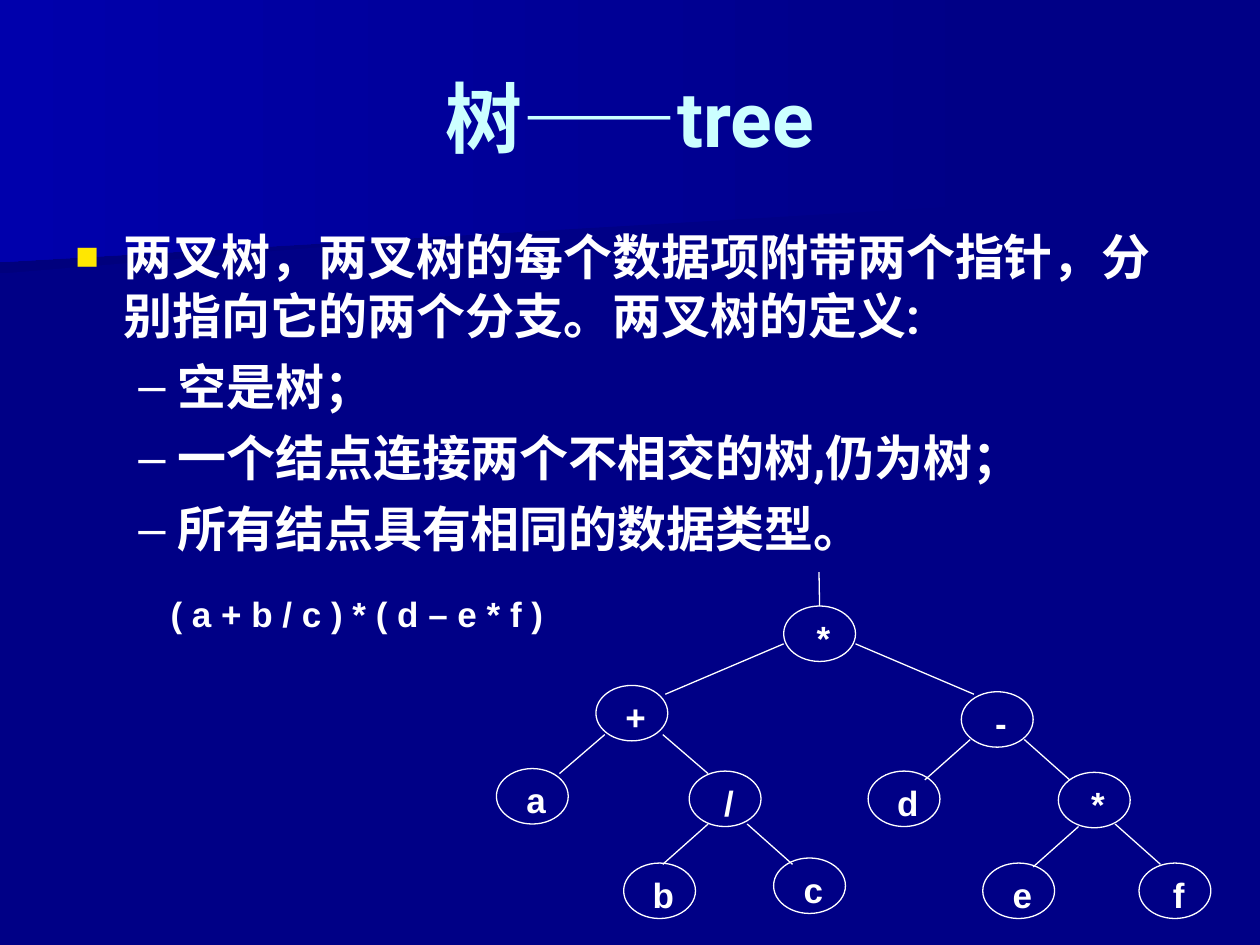
from lxml.etree import SubElement
from pptx import Presentation
from pptx.dml.color import RGBColor
from pptx.enum.shapes import MSO_CONNECTOR, MSO_SHAPE
from pptx.enum.text import MSO_ANCHOR, PP_ALIGN
from pptx.oxml.ns import qn
from pptx.util import Inches, Pt

WHITE, NAVY, DARK_NAVY, BLUE = "FFFFFF", "000086", "00007D", "0000AC"
CYAN, YELLOW = "CCFFFF", "FFE701"
NODE_WIDTH, NODE_HEIGHT = 0.57, 0.44

# Tree nodes: label, left, top
NODES = [
    ("*", 6.22, 4.81),
    ("+", 4.73, 5.44), ("-", 7.63, 5.49),
    ("a", 3.94, 6.1), ("/", 5.47, 6.12), ("d", 6.89, 6.12), ("*", 8.4, 6.13),
    ("b", 4.95, 6.85), ("c", 6.14, 6.81), ("e", 7.8, 6.85), ("f", 9.04, 6.85),
]

# Branches: start x, start y, end x, end y
BRANCHES = [
    (6.22, 5.11, 5.28, 5.51), (6.79, 5.11, 7.73, 5.51),
    (4.8, 5.83, 4.44, 6.14), (5.26, 5.83, 5.62, 6.14),
    (5.62, 6.54, 5.26, 6.86), (5.93, 6.54, 6.29, 6.86),
    (7.7, 5.87, 7.34, 6.19), (8.13, 5.87, 8.49, 6.19),
    (8.56, 6.56, 8.2, 6.88), (8.85, 6.54, 9.21, 6.86),
]

DEFINITION = "两叉树，两叉树的每个数据项附带两个指针，分别指向它的两个分支。两叉树的定义:"
RULES = ["空是树；", "一个结点连接两个不相交的树,仍为树；", "所有结点具有相同的数据类型。"]


def color(value):
    return RGBColor.from_string(value)


def write(paragraph, text, size=20, font="Arial", fill=WHITE, align=PP_ALIGN.CENTER, before=0):
    paragraph.text = text
    paragraph.alignment = align
    paragraph.space_before = Pt(before)
    paragraph.font.size = Pt(size)
    paragraph.font.name = font
    paragraph.font.bold = True
    paragraph.font.color.rgb = color(fill)


def add_bullet(paragraph, character, fill, left, hanging, level=0, percent=100):
    paragraph.level = level
    properties = paragraph._p.get_or_add_pPr()
    properties.set("marL", str(Inches(left)))
    properties.set("indent", str(-Inches(hanging)))
    bullet_color = SubElement(properties, qn("a:buClr"))
    SubElement(bullet_color, qn("a:srgbClr"), val=fill)
    SubElement(properties, qn("a:buSzPct"), val=str(percent * 1000))
    SubElement(properties, qn("a:buFont"), typeface="Arial")
    SubElement(properties, qn("a:buChar"), char=character)


def add_text_box(slide, left, top, width, height, margin=0.01):
    box = slide.shapes.add_textbox(Inches(left), Inches(top), Inches(width), Inches(height))
    frame = box.text_frame
    frame.word_wrap = True
    frame.margin_left = frame.margin_right = Inches(margin)
    frame.margin_top = frame.margin_bottom = Inches(min(margin, 0.05))
    return frame


def add_band(slide, points, end_color):
    corners = [(Inches(x), Inches(y)) for x, y in points]
    builder = slide.shapes.build_freeform(*corners[0], scale=1.0)
    builder.add_line_segments(corners[1:], close=True)
    shape = builder.convert_to_shape()
    shape.shadow.inherit = False
    shape.line.fill.background()
    shape.fill.gradient()
    shape.fill.gradient_angle = 180
    for stop, value in zip(shape.fill.gradient_stops, (NAVY, end_color)):
        stop.color.rgb = color(value)
    return shape


def add_node(slide, label, left, top):
    frame = add_text_box(slide, left + 0.03, top + 0.07, NODE_WIDTH, 0.37)
    write(frame.paragraphs[0], label)
    ellipse = slide.shapes.add_shape(
        MSO_SHAPE.OVAL, Inches(left), Inches(top), Inches(NODE_WIDTH), Inches(NODE_HEIGHT))
    ellipse.shadow.inherit = False
    ellipse.fill.background()
    ellipse.line.color.rgb = color(WHITE)
    ellipse.line.width = Pt(0.75)
    return ellipse


def add_branch(slide, *ends):
    connector = slide.shapes.add_connector(
        MSO_CONNECTOR.STRAIGHT, *(Inches(value) for value in ends))
    connector.line.color.rgb = color(WHITE)
    connector.line.width = Pt(0.75)
    SubElement(connector._element.spPr, qn("a:effectLst"))
    return connector


def add_title(slide, text):
    title = slide.shapes.title
    title.left, title.top = Inches(0.5), Inches(0.3)
    title.width, title.height = Inches(9), Inches(1.25)
    title.text_frame.vertical_anchor = MSO_ANCHOR.MIDDLE
    write(title.text_frame.paragraphs[0], text, size=44, font="Roboto", fill=CYAN)
    return title


def add_definition(slide):
    frame = add_text_box(slide, 0.5, 1.75, 9, 4.92, margin=0.1)
    style = {"size": 28, "font": "Roboto", "align": PP_ALIGN.LEFT}
    paragraph = frame.paragraphs[0]
    add_bullet(paragraph, "■", YELLOW, 0.38, 0.38, percent=80)
    write(paragraph, DEFINITION, **style)
    for rule in RULES:
        paragraph = frame.add_paragraph()
        add_bullet(paragraph, "–", WHITE, 0.81, 0.31, level=1)
        write(paragraph, rule, before=7, **style)


def add_tree(slide):
    ellipses = [add_node(slide, *node) for node in NODES]
    stem = add_branch(slide, 6.5, 4.54, 6.5, 4.81)
    stem.end_connect(ellipses[0], 0)
    for branch in BRANCHES:
        add_branch(slide, *branch)


def main():
    presentation = Presentation()
    presentation.slide_width, presentation.slide_height = Inches(10), Inches(7.5)
    slide = presentation.slides.add_slide(presentation.slide_layouts[5])

    # Background
    slide.background.fill.solid()
    slide.background.fill.fore_color.rgb = color(NAVY)
    add_band(slide, [(7.78, 1.53), (0, 2.17), (0, 1.01), (7.79, 1.01)], DARK_NAVY)
    top_band = add_band(slide, [(7.92, 1.62), (0, 2.08), (0, 0), (7.92, 0)], BLUE)

    # Title, placed above the bands, and definition
    title = add_title(slide, "树——tree")
    top_band._element.addnext(title._element)
    add_definition(slide)

    # Expression and its tree
    add_tree(slide)
    expression = add_text_box(slide, 0.67, 4.69, 4.33, 0.36)
    write(expression.paragraphs[0], "( a + b / c ) * ( d – e * f )")
    presentation.save("out.pptx")


if __name__ == "__main__":
    main()
